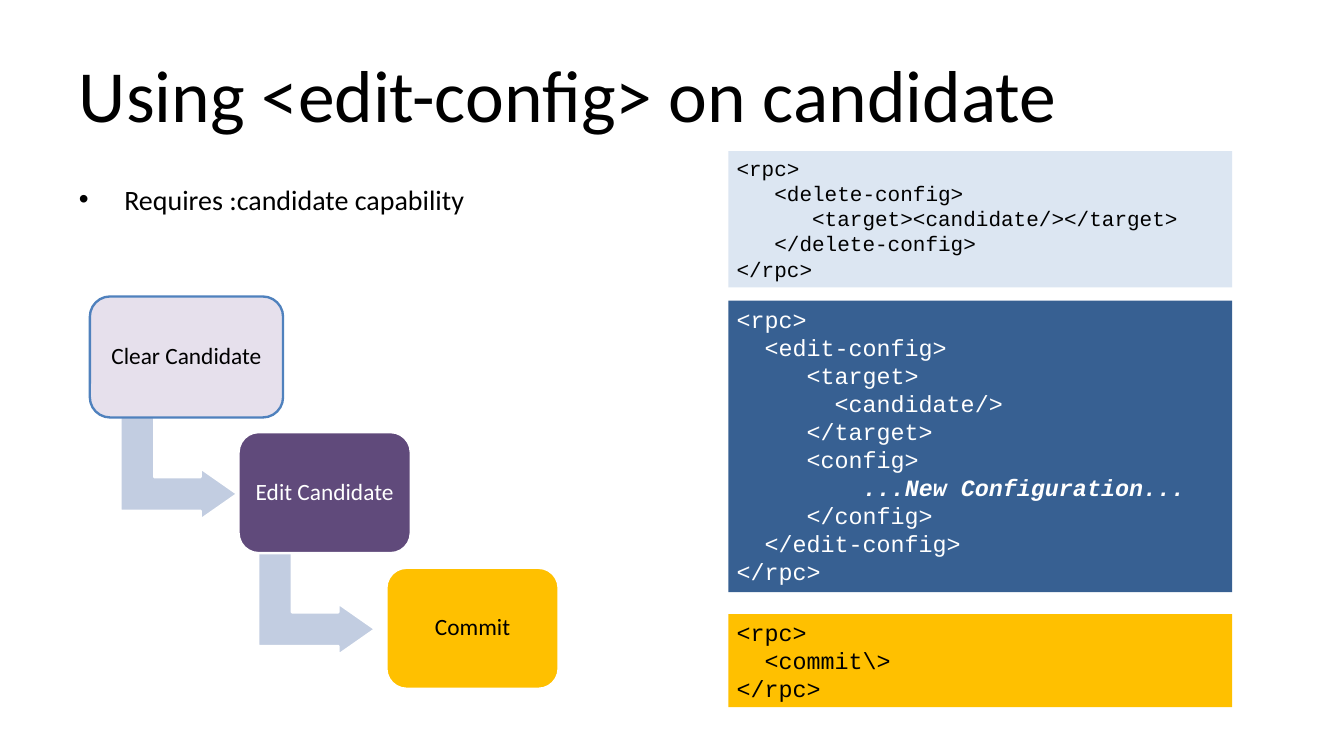
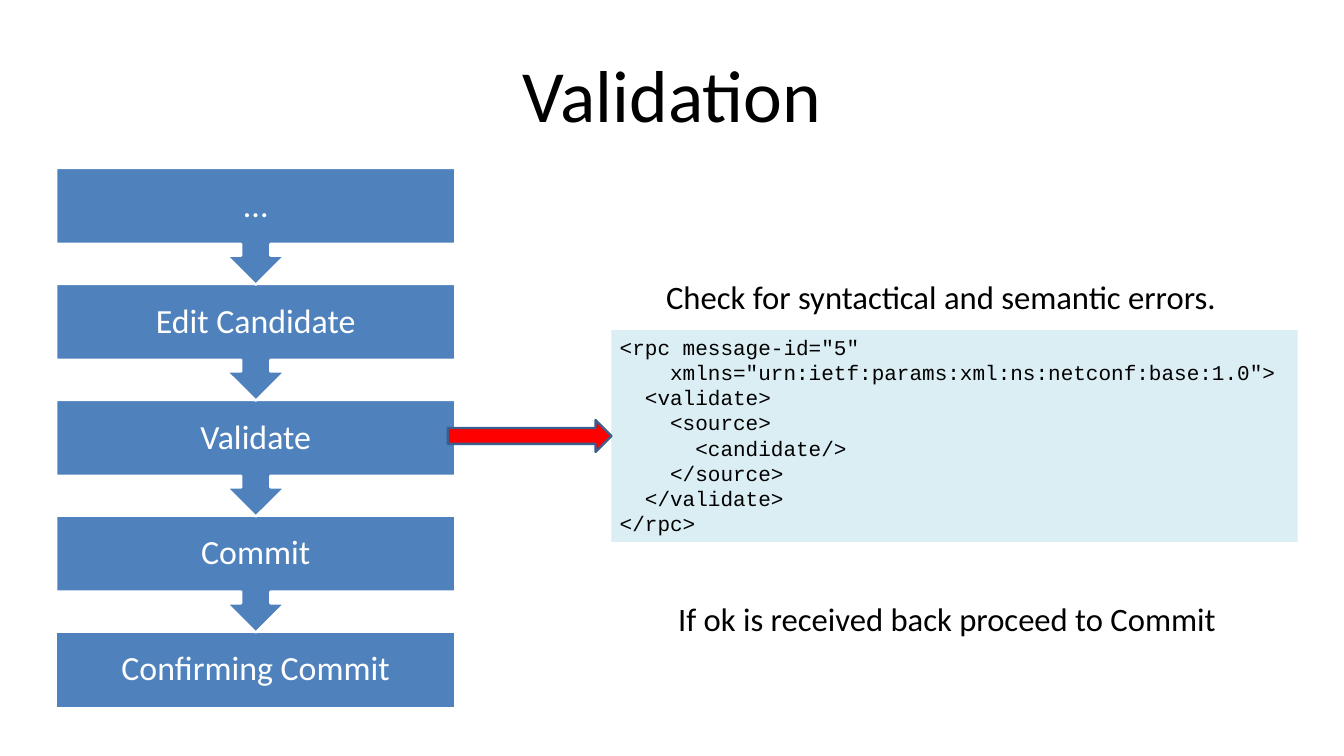
"""Build two slides on editing and validating a candidate configuration."""
from dataclasses import dataclass

from lxml import etree
from pptx import Presentation
from pptx import util as u
from pptx.dml.color import RGBColor
from pptx.enum import shapes, text
from pptx.oxml.ns import qn


@dataclass(frozen=True)
class Theme:
    body_font: str = "Calibri"
    code_font: str = "Courier New"
    black: str = "000000"
    white: str = "FFFFFF"
    blue: str = "4F81BD"
    dark_blue: str = "376092"
    pale_blue: str = "DCE6F2"
    pale_aqua: str = "DBEEF4"
    arrow_blue: str = "C2CDE1"
    lilac: str = "E6E0EC"
    purple: str = "604A7B"
    gold: str = "FFC000"
    red: str = "FF0000"
    red_outline: str = "3A5F8C"
    title_size: int = 63
    flow_size: int = 29
    note_size: int = 28
    bullet_size: int = 24
    code_size: int = 20
    small_code_size: int = 18
    step_size: int = 20


theme = Theme()
kinds = shapes.MSO_SHAPE
align = text.PP_ALIGN
anchors = text.MSO_ANCHOR


def add_block(slide, kind, box, fill, line=None, rotation=0):
    """Add a preset shape, or a text box when kind is None."""
    lengths = [u.Inches(value) for value in box]
    if kind is None:
        return slide.shapes.add_textbox(*lengths)
    shape = slide.shapes.add_shape(kind, *lengths)
    shape.shadow.inherit = False
    shape.rotation = rotation
    shape.fill.solid()
    shape.fill.fore_color.rgb = RGBColor.from_string(fill)
    if line:
        shape.line.color.rgb = RGBColor.from_string(line)
        shape.line.width = u.Pt(2)
    else:
        shape.line.fill.background()
    return shape


def write(shape, words, size, color=theme.black, font=theme.body_font, alignment=align.LEFT,
          anchor=anchors.TOP, inset=(0.1, 0.05), spacing=None, wrap=True):
    """Fill a shape with text, one paragraph for each line."""
    frame = shape.text_frame
    frame.word_wrap = wrap
    frame.vertical_anchor = anchor
    frame.margin_left = frame.margin_right = u.Inches(inset[0])
    frame.margin_top = frame.margin_bottom = u.Inches(inset[1])
    frame.text = words
    for paragraph in frame.paragraphs:
        paragraph.alignment = alignment
        paragraph.line_spacing = spacing
        for run in paragraph.runs:
            run.font.name = font
            run.font.size = u.Pt(size)
            run.font.color.rgb = RGBColor.from_string(color)


presentation = Presentation()
presentation.slide_width = u.Inches(16)
presentation.slide_height = u.Inches(9)

slides = []
for title, alignment in (("Using <edit-config> on candidate", align.LEFT),
                         ("Validation", align.CENTER)):
    slide = presentation.slides.add_slide(presentation.slide_layouts[6])
    title_box = add_block(slide, None, (0.8, 0.36, 14.4, 1.5), None)
    write(title_box, title, theme.title_size, alignment=alignment,
          anchor=anchors.MIDDLE, inset=(0.14, 0.07))
    slides.append(slide)
edit_slide, validation_slide = slides

bullet_box = add_block(edit_slide, None, (0.8, 2.1, 14.4, 5.94), None)
write(bullet_box, "Requires :candidate capability", theme.bullet_size, inset=(0.14, 0.07))
bullet = bullet_box.text_frame.paragraphs[0]
bullet.space_before = u.Pt(4.8)
properties = bullet._p.get_or_add_pPr()
properties.set("marL", str(u.Inches(0.54)))
properties.set("indent", str(-u.Inches(0.54)))
etree.SubElement(properties, qn("a:buFont")).set("typeface", "Arial")
etree.SubElement(properties, qn("a:buChar")).set("char", "•")

for left in (1.52, 3.16):
    top = 4.88 if left == 1.52 else 6.49
    arrow = add_block(edit_slide, kinds.BENT_UP_ARROW, (left, top, 1.22, 1.39),
                      theme.arrow_blue, theme.white, rotation=90)
    for index, value in enumerate((0.328, 0.25, 0.358)):
        arrow.adjustments[index] = value

steps = (
    ("Clear Candidate", 1.07, 2.3, theme.lilac, theme.blue, theme.black),
    ("Edit Candidate", 2.84, 2.05, theme.purple, theme.white, theme.white),
    ("Commit", 4.6, 2.05, theme.gold, theme.white, theme.black),
)
for index, (label, left, width, fill, line, color) in enumerate(steps):
    step = add_block(edit_slide, kinds.ROUNDED_RECTANGLE,
                     (left, 3.53 + index * 1.615, width, 1.44), fill, line)
    step.adjustments[0] = 0.167
    write(step, label, theme.step_size, color, alignment=align.CENTER,
          anchor=anchors.MIDDLE, inset=(0.08, 0.08), spacing=0.9)

delete_code = """<rpc>
   <delete-config>
      <target><candidate/></target>
   </delete-config>
</rpc>"""
edit_code = """<rpc>
  <edit-config>
     <target>
       <candidate/>
     </target>
     <config>
         
     </config>
  </edit-config>
</rpc>"""
commit_code = """<rpc>
  <commit\\>
</rpc>"""
validate_code = """<rpc message-id="5"
    xmlns="urn:ietf:params:xml:ns:netconf:base:1.0">
  <validate>
    <source>
      <candidate/>
    </source>
  </validate>
</rpc>"""
code_blocks = (
    (edit_slide, (8.67, 1.8, 6, 1.62), delete_code, theme.small_code_size,
     theme.pale_blue, theme.black),
    (edit_slide, (8.67, 3.58, 6, 3.47), edit_code, theme.code_size,
     theme.dark_blue, theme.white),
    (edit_slide, (8.67, 7.31, 6, 1.11), commit_code, theme.code_size,
     theme.gold, theme.black),
    (validation_slide, (7.28, 3.93, 8.17, 2.52), validate_code, theme.small_code_size,
     theme.pale_aqua, theme.black),
)
for slide, box, code, size, fill, color in code_blocks:
    code_box = add_block(slide, kinds.RECTANGLE, box, fill)
    write(code_box, code, size, color, theme.code_font)
    if code == edit_code:
        run = code_box.text_frame.paragraphs[6].add_run()
        run.text = "...New Configuration..."
        run.font.name = theme.code_font
        run.font.size = u.Pt(size)
        run.font.color.rgb = RGBColor.from_string(color)
        run.font.bold = run.font.italic = True

flow = ("...", "Edit Candidate", "Validate", "Commit", "Confirming Commit")
for index, label in reversed(list(enumerate(flow))):
    top = 2 + index * 1.38
    if index == len(flow) - 1:
        add_block(validation_slide, kinds.RECTANGLE, (0.67, top, 4.75, 0.91),
                  theme.blue, theme.white)
    else:
        add_block(validation_slide, kinds.UP_ARROW_CALLOUT, (0.67, top, 4.75, 1.39),
                  theme.blue, theme.white, rotation=180)
    label_box = add_block(validation_slide, None, (0.67, top, 4.75, 0.91), None)
    write(label_box, label, theme.flow_size, theme.white, alignment=align.CENTER,
          anchor=anchors.MIDDLE, inset=(0.23, 0.23), spacing=0.9)

add_block(validation_slide, kinds.RIGHT_ARROW, (5.33, 5, 1.95, 0.38),
          theme.red, theme.red_outline)

for note, box in (("Check for syntactical and semantic errors.", (7.75, 3.25, 6.82, 0.57)),
                  ("If ok is received back proceed to Commit", (7.9, 7.08, 6.67, 0.57))):
    note_box = add_block(validation_slide, None, box, None)
    write(note_box, note, theme.note_size, alignment=align.RIGHT, wrap=False)

presentation.save("out.pptx")
